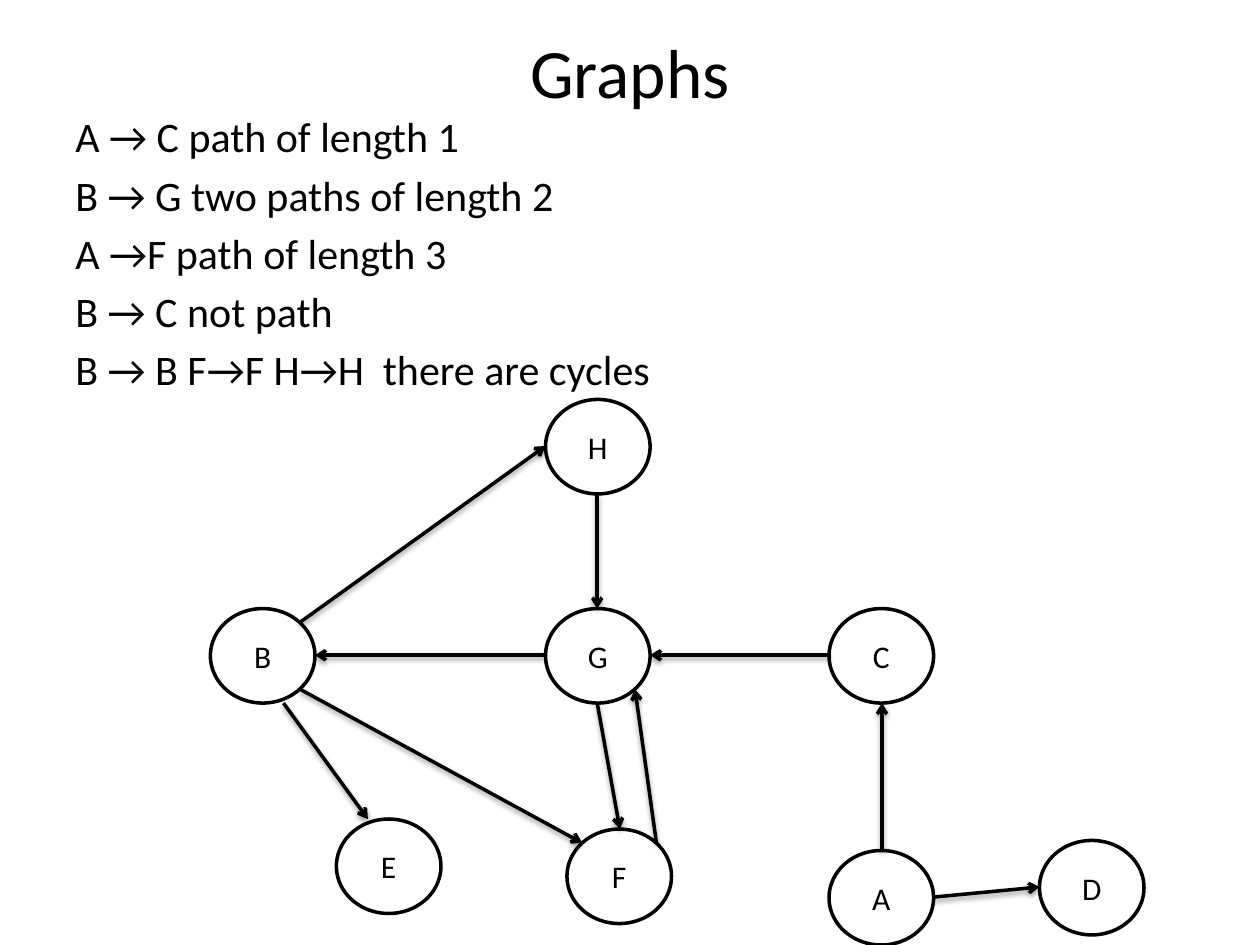
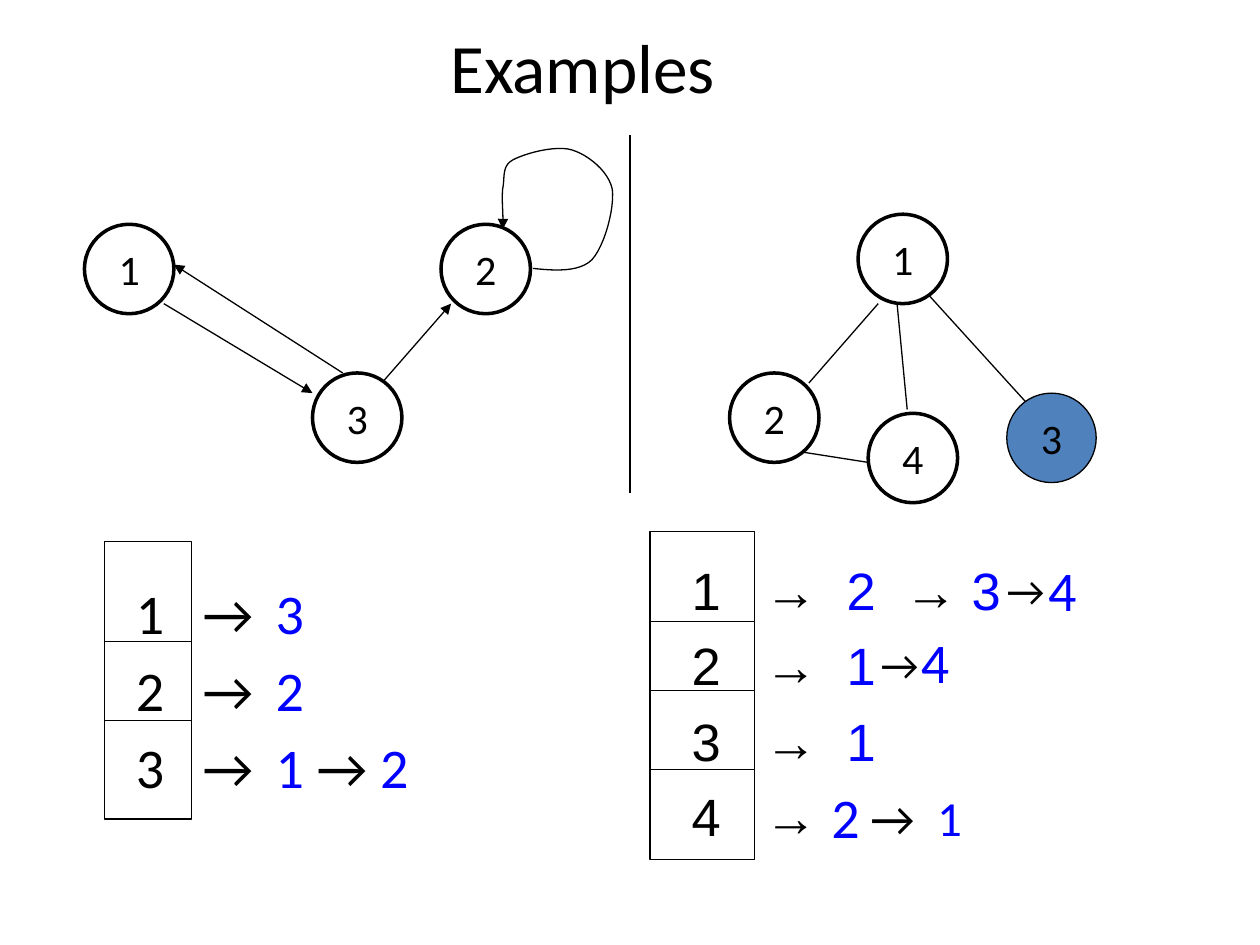
"""Build two slides on directed graphs and their adjacency lists."""
import math
from dataclasses import dataclass

from lxml import etree
from pptx import Presentation
from pptx.dml.color import RGBColor
from pptx.enum.shapes import MSO_CONNECTOR, MSO_SHAPE
from pptx.enum.text import MSO_ANCHOR, PP_ALIGN
from pptx.oxml.ns import qn
from pptx.util import Pt

STRAIGHT = MSO_CONNECTOR.STRAIGHT
OVAL, RECT = MSO_SHAPE.OVAL, MSO_SHAPE.RECTANGLE
TOP, MIDDLE = MSO_ANCHOR.TOP, MSO_ANCHOR.MIDDLE
LEFT, CENTER, JUSTIFY = PP_ALIGN.LEFT, PP_ALIGN.CENTER, PP_ALIGN.JUSTIFY
PX = 9144


@dataclass(frozen=True)
class Theme:
    ink: str = "000000"
    paper: str = "FFFFFF"
    neighbour: str = "0000FF"
    marked: str = "4F81BD"
    font: str = "Calibri"
    list_font: str = "Arial"
    title: float = 39.6
    body: int = 24
    letter: int = 18
    number: int = 24
    row: int = 32
    list_row: int = 30
    small_arrow: int = 24
    last_arrow: int = 28
    thick: float = 2
    thin: float = 0.75


T = Theme()


def blue(text):
    return text, T.neighbour


def site(box, k):
    """Return the k-th of eight points on an ellipse, anticlockwise from the top."""
    x, y, w, h = box
    a = math.radians(45 * k)
    return round(x + w / 2 * (1 - math.sin(a))), round(y + h / 2 * (1 - math.cos(a)))


def bezier(p0, p1, p2, p3, steps=12):
    """Return points along one cubic curve, without its start."""
    points = []
    for i in range(1, steps + 1):
        t = i / steps
        u = 1 - t
        weights = u ** 3, 3 * u * u * t, 3 * u * t * t, t ** 3
        points.append(tuple(round(sum(k * p[axis] for k, p in zip(weights, (p0, p1, p2, p3))) * PX)
                            for axis in (0, 1)))
    return points


class Deck:
    """Hold the theme and the current slide, and draw elements on it."""

    def __init__(self, theme):
        self.t = theme
        self.prs = Presentation()
        self.prs.slide_width, self.prs.slide_height = 1000 * PX, 750 * PX

    def slide(self, title, box):
        self.s = self.prs.slides.add_slide(self.prs.slide_layouts[6])
        self.text(box, [[title]], self.t.title, align=CENTER, anchor=MIDDLE)

    def fill_text(self, tf, rows, size, font=None, align=LEFT, anchor=TOP, gap=0, tabs=()):
        tf.word_wrap = True
        tf.vertical_anchor = anchor
        for i, row in enumerate(rows):
            p = tf.add_paragraph() if i else tf.paragraphs[0]
            p.alignment = align
            p.space_before = Pt(gap if i else 0)
            if tabs:
                stops = etree.SubElement(p._p.get_or_add_pPr(), qn("a:tabLst"))
                for tab in tabs:
                    etree.SubElement(stops, qn("a:tab"), pos=str(tab * PX), algn="l")
            for run in row:
                text, color = (run, self.t.ink) if isinstance(run, str) else run
                r = p.add_run()
                r.text = text
                r.font.size = Pt(size)
                r.font.name = font or self.t.font
                r.font.color.rgb = RGBColor.from_string(color)

    def text(self, box, rows, size, **style):
        sp = self.s.shapes.add_textbox(*(v * PX for v in box))
        self.fill_text(sp.text_frame, rows, size, **style)

    def outline(self, sp, width, tip=None):
        sp.line.color.rgb = RGBColor.from_string(self.t.ink)
        sp.line.width = Pt(width)
        if tip:
            etree.SubElement(sp.line._get_or_add_ln(), qn("a:tailEnd"), type=tip)

    def shape(self, kind, box, width, fill=None):
        sp = self.s.shapes.add_shape(kind, *(v * PX for v in box))
        sp.shadow.inherit = False
        if fill:
            sp.fill.solid()
            sp.fill.fore_color.rgb = RGBColor.from_string(fill)
        else:
            sp.fill.background()
        self.outline(sp, width)
        return sp

    def node(self, label, box, size, fill=None, width=None):
        sp = self.shape(OVAL, box, width or self.t.thick, fill or self.t.paper)
        tf = sp.text_frame
        tf.margin_left = tf.margin_right = 0
        self.fill_text(tf, [[label]], size, align=CENTER, anchor=MIDDLE)

    def line(self, start, end, width=None, tip=None, shadow=False):
        sp = self.s.shapes.add_connector(STRAIGHT, *(v * PX for v in (*start, *end)))
        self.outline(sp, width or self.t.thin, tip)
        effects = etree.SubElement(sp._element.spPr, qn("a:effectLst"))
        if shadow:
            outer = etree.SubElement(effects, qn("a:outerShdw"), blurRad=str(Pt(3.1)),
                                     dist=str(Pt(1.6)), dir="5400000", rotWithShape="0")
            color = etree.SubElement(outer, qn("a:srgbClr"), val=self.t.ink)
            etree.SubElement(color, qn("a:alpha"), val="38000")

    def curve(self, start, segments, tip):
        points, pen = [], start
        for segment in segments:
            points += bezier(pen, *segment)
            pen = segment[-1]
        builder = self.s.shapes.build_freeform(start[0] * PX, start[1] * PX)
        builder.add_line_segments(points, close=False)
        sp = builder.convert_to_shape()
        sp.shadow.inherit = False
        sp.fill.background()
        self.outline(sp, self.t.thin, tip)

    def column(self, box, dividers):
        x, _, w, _ = box
        self.shape(RECT, box, self.t.thin)
        for y in dividers:
            self.line((x, y), (x + w, y))


def graph_slide(d):
    d.slide("Graphs", (50, 30, 900, 53))
    facts = ["A → C path of length 1", "B → G two paths of length 2", "A →F path of length 3",
             "B → C not path", "B → B F→F H→H  there are cycles"]
    d.text((50, 83, 900, 642), [[fact] for fact in facts], T.body, align=JUSTIFY, gap=4.5)
    corners = {"H": (433, 317), "B": (167, 483), "G": (433, 483), "C": (658, 483),
               "E": (267, 650), "F": (450, 658), "A": (658, 675), "D": (825, 667)}
    nodes = {name: (*corner, 83, 75) for name, corner in corners.items()}
    for name, box in nodes.items():
        d.node(name, box, T.letter)
    edges = [("B", 7, "H", 2), ("H", 4, "G", 0), ("G", 2, "B", 6), ("C", 2, "G", 6),
             ("G", 4, "F", 0), ("B", 5, "F", 1), ("F", 7, "G", 5), ("A", 0, "C", 4),
             ("A", 6, "D", 2)]
    ends = [(site(nodes[a], i), site(nodes[b], j)) for a, i, b, j in edges]
    for start, end in ends + [((225, 558), (292, 650))]:
        d.line(start, end, T.thick, "arrow", shadow=True)


def examples_slide(d):
    d.slide("Examples", (50, 13, 825, 78))
    d.line((500, 107), (500, 391))
    for start, end in [((130, 241), (248, 312)), ((303, 304), (358, 241)),
                       ((272, 296), (138, 210))]:
        d.line(start, end, tip="triangle")
    for start, end in [((642, 304), (697, 241)), ((736, 233), (815, 320)),
                       ((638, 359), (689, 367)), ((720, 325), (712, 241))]:
        d.line(start, end)
    d.curve((423, 213), [((441, 215), (460, 216), (470, 206)),
                         ((480, 195), (488, 165), (486, 150)),
                         ((483, 136), (467, 123), (454, 119)),
                         ((441, 115), (416, 122), (407, 127)),
                         ((398, 132), (401, 141), (399, 150)),
                         ((398, 160), (400, 174), (399, 182))], "triangle")
    for label, x, y in [("1", 67, 178), ("2", 350, 178), ("3", 248, 296),
                        ("1", 681, 170), ("2", 579, 296), ("4", 689, 328)]:
        d.node(label, (x, y, 71, 71), T.number)
    d.node("3", (799, 312, 71, 71), T.number, T.marked, T.thin)

    d.column((83, 430, 69, 220), (509, 572))
    d.text((98, 454, 387, 217),
           [["1\t→\t", blue("3")], ["2\t→\t", blue("2")],
            ["3\t→\t", blue("1 "), "→", blue(" 2")]],
           T.row, gap=5.8, tabs=(53, 111))

    d.column((516, 422, 83, 260), (493, 548, 611))
    d.text((539, 438, 442, 256),
           [["1\t→\t", blue("2\t"), "→", blue(" 3")], ["2\t→\t", blue("1")],
            ["3\t→\t", blue("1")], ["4\t→"]],
           T.list_row, font=T.list_font, gap=7, tabs=(58, 123, 169))
    for x, y in [(789, 443), (689, 502)]:
        d.text((x, y, 53, 50), [["→"]], T.small_arrow)
    for digit, x, y in [("4", 822, 436), ("4", 721, 493), ("2", 650, 616)]:
        d.text((x, y, 43, 64), [[blue(digit)]], T.row)
    d.text((681, 620, 123, 57), [["→\t", blue("1")]], T.last_arrow, tabs=(53,))


def main():
    d = Deck(T)
    graph_slide(d)
    examples_slide(d)
    d.prs.save("out.pptx")


if __name__ == "__main__":
    main()
